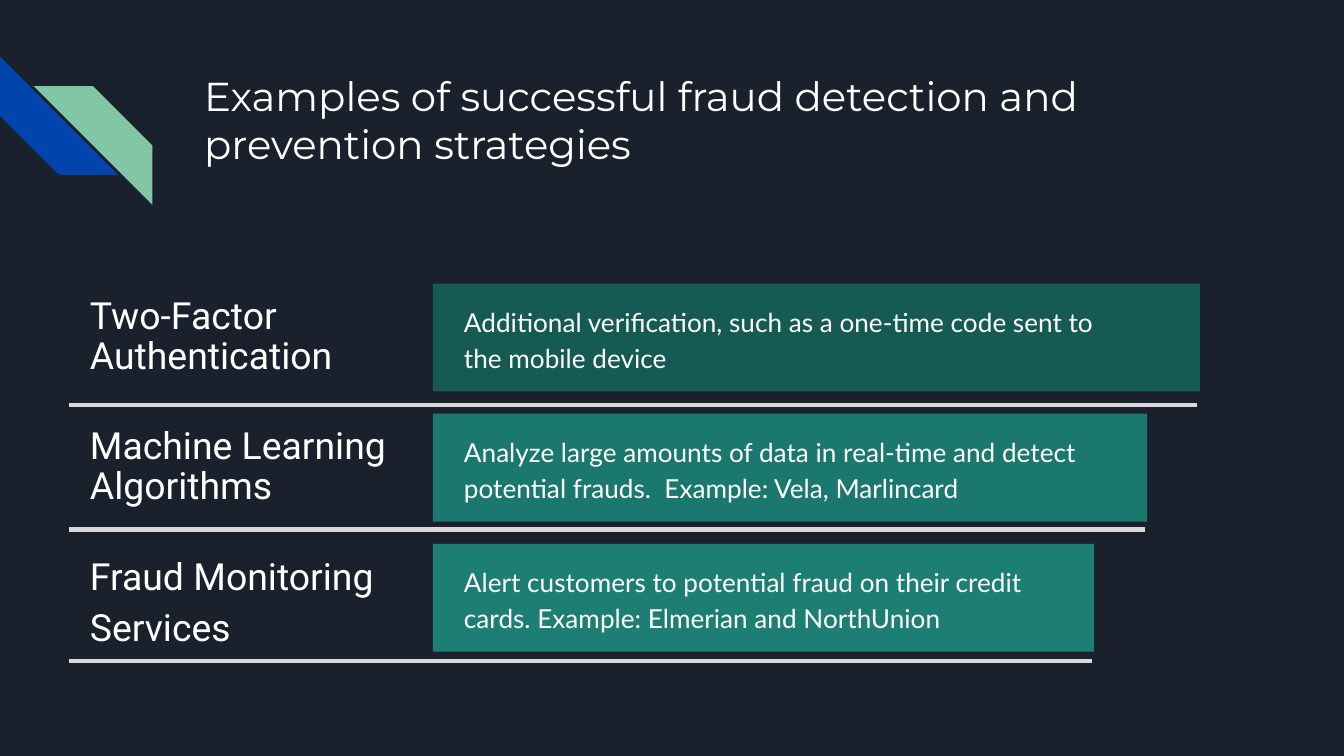
from dataclasses import dataclass

from lxml import etree
from pptx import Presentation, util as u
from pptx.dml.color import RGBColor
from pptx.enum import shapes, text
from pptx.oxml import ns


@dataclass(frozen=True)
class Theme:
    background: str = "1B212C"
    ink: str = "FFFFFF"
    rule: str = "D9D9D9"
    blue: str = "0145AC"
    green: str = "82C7A5"
    title_font: str = "Montserrat"
    label_font: str = "Roboto"
    detail_font: str = "Lato"
    title_size: float = 21.6
    label_size: float = 20
    detail_size: float = 14
    rule_width: float = 2.25


THEME = Theme()
STRATEGIES = [
    ("Two-Factor Authentication",
     "Additional verification, such as a one-time code sent to the mobile device",
     "155B54", 0.9, 13.23, 7.65),
    ("Machine Learning Algorithms",
     "Analyze large amounts of data in real-time and detect potential frauds.  "
     "Example: Vela, Marlincard",
     "1B786E", 0.9, 12.73, 10.01),
    ("Fraud Monitoring Services",
     "Alert customers to potential fraud on their credit cards. "
     "Example: Elmerian and NorthUnion",
     "1D7E74", 1.15, 11.68, 12.5),
]
FIRST_TOP, ROW_STEP, BAR_HEIGHT = 5.36, 2.46, 2.04
BAR_LEFT, FIRST_BAR_WIDTH, BAR_SHRINK = 8.18, 14.5, 1
LABEL_HEIGHT, DETAIL_HEIGHT = 1.74, 1.6


def add_block(slide, preset, box, color, rotation=0):
    block = slide.shapes.add_shape(preset, *map(u.Cm, box))
    block.shadow.inherit = False
    block.fill.solid()
    block.fill.fore_color.rgb = RGBColor.from_string(color)
    block.line.fill.background()
    block.rotation = rotation


def add_text(slide, box, words, font, size, spacing=1.0,
             anchor=text.MSO_ANCHOR.MIDDLE, inset=0.13):
    frame = slide.shapes.add_textbox(*map(u.Cm, box)).text_frame
    frame.word_wrap = True
    frame.vertical_anchor = anchor
    frame.margin_top = frame.margin_bottom = u.Cm(inset)
    frame.text = words
    paragraph = frame.paragraphs[0]
    paragraph.line_spacing = spacing
    for run in paragraph.runs:
        run.font.name = font
        run.font.size = u.Pt(size)
        run.font.color.rgb = RGBColor.from_string(THEME.ink)


def add_rule(slide, left, right, y):
    rule = slide.shapes.add_connector(
        shapes.MSO_CONNECTOR.STRAIGHT, u.Cm(right), u.Cm(y), u.Cm(left), u.Cm(y))
    rule.line.color.rgb = RGBColor.from_string(THEME.rule)
    rule.line.width = u.Pt(THEME.rule_width)
    etree.SubElement(rule._element.spPr, ns.qn("a:effectLst"))


def add_strategy(slide, index, strategy):
    label, detail, color, label_spacing, detail_width, rule_y = strategy
    top = FIRST_TOP + index * ROW_STEP
    middle = top + BAR_HEIGHT / 2
    bar_width = FIRST_BAR_WIDTH - index * BAR_SHRINK
    add_text(slide, (1.45, middle - LABEL_HEIGHT / 2, 6.5, LABEL_HEIGHT),
             label, THEME.label_font, THEME.label_size, label_spacing)
    add_block(slide, shapes.MSO_SHAPE.RECTANGLE,
              (BAR_LEFT, top, bar_width, BAR_HEIGHT), color)
    add_text(slide, (8.52, middle - DETAIL_HEIGHT / 2, detail_width, DETAIL_HEIGHT),
             detail, THEME.detail_font, THEME.detail_size, 1.15)
    add_rule(slide, 1.3, BAR_LEFT + bar_width - 0.05, rule_y)


def main():
    deck = Presentation()
    deck.slide_width, deck.slide_height = u.Cm(25.4), u.Cm(14.29)
    slide = deck.slides.add_slide(deck.slide_layouts[6])
    slide.background.fill.solid()
    slide.background.fill.fore_color.rgb = RGBColor.from_string(THEME.background)

    stripe = shapes.MSO_SHAPE.DIAGONAL_STRIPE
    add_block(slide, stripe, (0, 1.07, 2.24, 2.24), THEME.blue, 270)
    add_block(slide, stripe, (0.64, 1.63, 2.24, 2.24), THEME.green, 90)
    add_text(slide, (3.61, 1.09, 19.56, 2.54),
             "Examples of successful fraud detection and prevention strategies",
             THEME.title_font, THEME.title_size,
             anchor=text.MSO_ANCHOR.TOP, inset=0.25)
    for index, strategy in enumerate(STRATEGIES):
        add_strategy(slide, index, strategy)
    deck.save("out.pptx")


if __name__ == "__main__":
    main()
